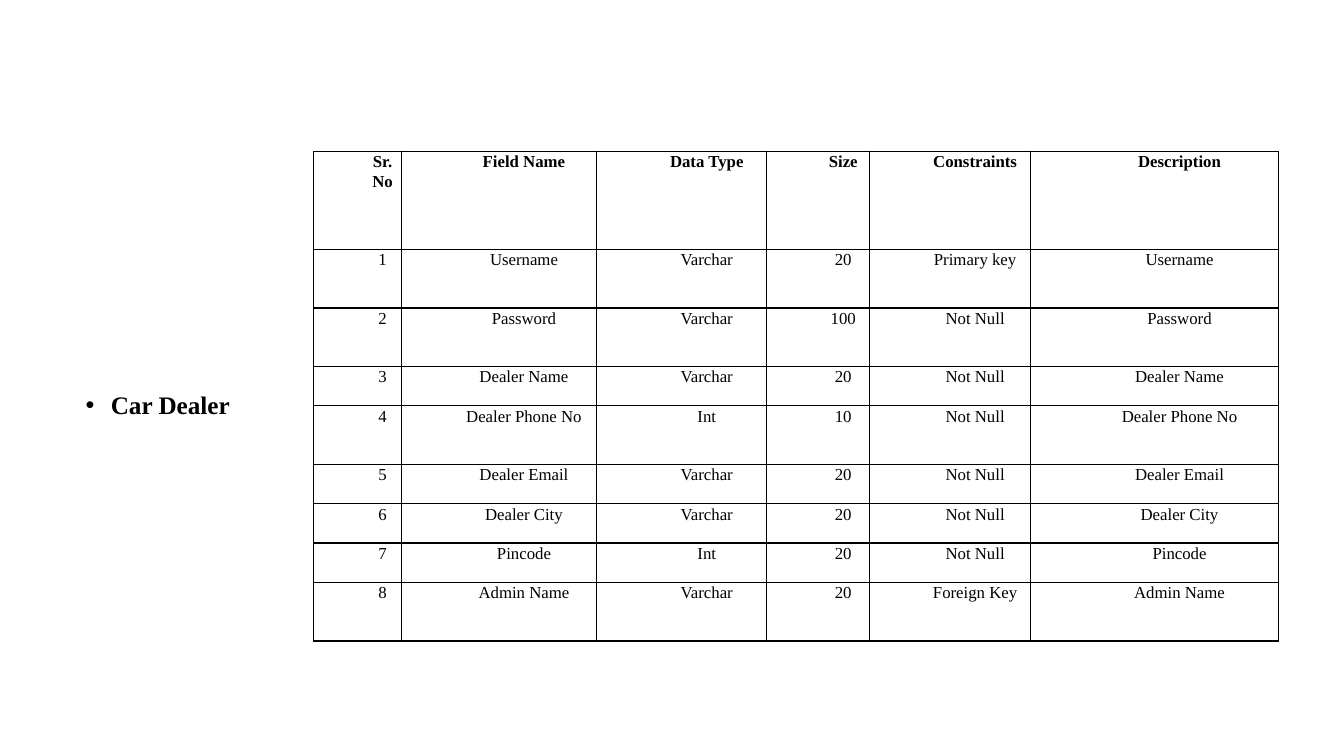
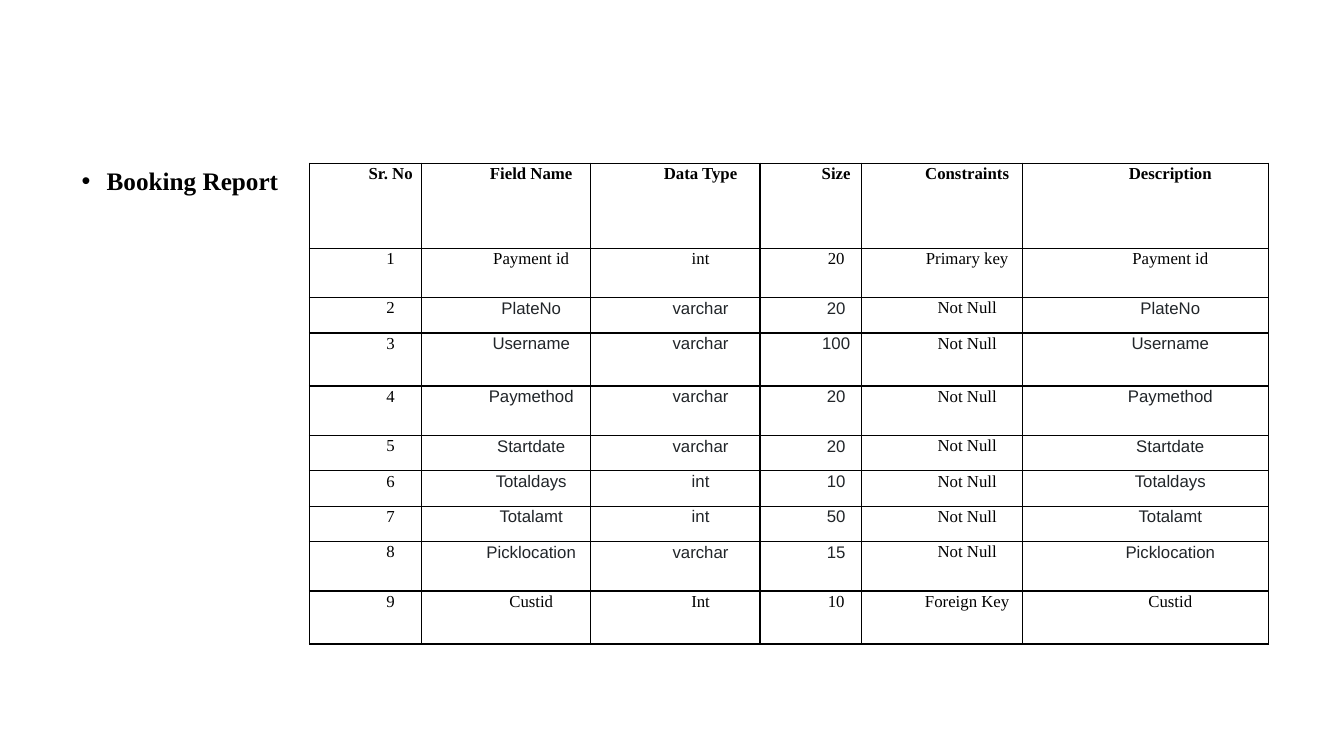
from dataclasses import dataclass

from lxml.etree import SubElement
from pptx import Presentation
from pptx.dml.color import RGBColor
from pptx.enum.text import PP_ALIGN
from pptx.oxml import parse_xml
from pptx.oxml.ns import nsdecls, qn
from pptx.slide import Slide
from pptx.table import _Cell
from pptx.text.text import _Paragraph
from pptx.util import Emu, Inches, Pt

# Shared format
SLIDE_WIDTH, SLIDE_HEIGHT = Inches(13.333), Inches(7.5)
BLACK, CHARCOAL = "000000", "212529"
SERIF, SANS = "Times New Roman", "Arial"
HEADING_FONT = {"name": SERIF, "size": Pt(18), "bold": True}
HEADER_FONT = {"name": SERIF, "size": Pt(12), "bold": True}
BODY_FONT = {**HEADER_FONT, "bold": False}
SANS_FONT = {**BODY_FONT, "name": SANS}
CELL_MARGINS = {
    "margin_left": Inches(0.07),
    "margin_right": Inches(0.07),
    "margin_top": 0,
    "margin_bottom": 0,
}
HEADING_HEIGHT = 5.5
HEADERS = ("Sr. No", "Field Name", "Data Type", "Size", "Constraints", "Description")
SERIF_COLUMNS = ("Sr. No", "Constraints")


@dataclass(frozen=True)
class Area:
    """Left, top, width and height in percent of the slide."""

    left: float
    top: float
    width: float
    height: float

    def lengths(self) -> tuple[Emu, Emu, Emu, Emu]:
        return (
            Emu(round(SLIDE_WIDTH * self.left / 100)),
            Emu(round(SLIDE_HEIGHT * self.top / 100)),
            Emu(round(SLIDE_WIDTH * self.width / 100)),
            Emu(round(SLIDE_HEIGHT * self.height / 100)),
        )


@dataclass(frozen=True)
class Field:
    name: str
    data_type: str
    size: str
    constraint: str = "Not Null"
    sans: bool = False


@dataclass(frozen=True)
class FieldTable:
    """Column and row shares divide the table's area."""

    heading: str
    heading_left: float
    heading_top: float
    area: Area
    column_shares: tuple[int, ...]
    row_shares: tuple[int, ...]
    fields: tuple[Field, ...]


FIELD_TABLES = (
    FieldTable(
        "Car Dealer", 5.63, 51.33,
        Area(23.33, 20, 71.79, 64.8),
        (87, 194, 169, 102, 160, 246),
        (5, 3, 3, 2, 3, 2, 2, 2, 3),
        (
            Field("Username", "Varchar", "20", "Primary key"),
            Field("Password", "Varchar", "100"),
            Field("Dealer Name", "Varchar", "20"),
            Field("Dealer Phone No", "Int", "10"),
            Field("Dealer Email", "Varchar", "20"),
            Field("Dealer City", "Varchar", "20"),
            Field("Pincode", "Int", "20"),
            Field("Admin Name", "Varchar", "20", "Foreign Key"),
        ),
    ),
    FieldTable(
        "Booking Report", 5.33, 21.6,
        Area(23.03, 21.6, 71.34, 63.6),
        (111, 168, 168, 101, 159, 244),
        (24, 14, 10, 15, 14, 10, 10, 10, 14, 15),
        (
            Field("Payment id", "int", "20", "Primary key"),
            Field("PlateNo", "varchar", "20", sans=True),
            Field("Username", "varchar", "100", sans=True),
            Field("Paymethod", "varchar", "20", sans=True),
            Field("Startdate", "varchar", "20", sans=True),
            Field("Totaldays", "int", "10", sans=True),
            Field("Totalamt", "int", "50", sans=True),
            Field("Picklocation", "varchar", "15", sans=True),
            Field("Custid", "Int", "10", "Foreign Key"),
        ),
    ),
)


def colour(hex_value: str) -> RGBColor:
    return RGBColor.from_string(hex_value)


def set_attributes(target: object, values: dict) -> None:
    for name, value in values.items():
        setattr(target, name, value)


def set_indent(paragraph: _Paragraph, margin: float, first_line: float) -> None:
    properties = paragraph._p.get_or_add_pPr()
    properties.set("marL", str(Inches(margin)))
    properties.set("indent", str(Inches(first_line)))


def add_text(paragraph: _Paragraph, text: str, font_values: dict, hex_value: str = BLACK) -> None:
    run = paragraph.add_run()
    run.text = text
    set_attributes(run.font, font_values)
    run.font.color.rgb = colour(hex_value)


def add_borders(cell: _Cell) -> None:
    properties = cell._tc.get_or_add_tcPr()
    for position, side in enumerate("LRTB"):
        border = parse_xml(
            f'<a:ln{side} {nsdecls("a")} w="{Pt(1)}"><a:solidFill>'
            f'<a:srgbClr val="{BLACK}"/></a:solidFill></a:ln{side}>'
        )
        properties.insert(position, border)


def add_heading(slide: Slide, field_table: FieldTable) -> None:
    left = field_table.heading_left
    area = Area(left, field_table.heading_top, field_table.area.left - left, HEADING_HEIGHT)
    text_frame = slide.shapes.add_textbox(*area.lengths()).text_frame
    text_frame.word_wrap = True
    paragraph = text_frame.paragraphs[0]
    set_indent(paragraph, 0.25, -0.25)
    properties = paragraph._p.get_or_add_pPr()
    SubElement(properties, qn("a:buFont")).set("typeface", SANS)
    SubElement(properties, qn("a:buChar")).set("char", "•")
    paragraph.line_spacing = 0.9
    add_text(paragraph, field_table.heading, HEADING_FONT)


def fill_cell(cell: _Cell, text: str, header: str, font_values: dict) -> None:
    set_attributes(cell, CELL_MARGINS)
    cell.fill.background()
    add_borders(cell)
    paragraph = cell.text_frame.paragraphs[0]
    set_indent(paragraph, 0.5, 0)
    set_attributes(paragraph, {"alignment": PP_ALIGN.CENTER, "line_spacing": 1.07})
    if header == HEADERS[-1]:
        paragraph.space_after = Pt(8)
    add_text(paragraph, text, font_values, CHARCOAL if font_values is SANS_FONT else BLACK)


def add_field_table(slide: Slide, field_table: FieldTable) -> None:
    lengths = field_table.area.lengths()
    row_count = len(field_table.fields) + 1
    table = slide.shapes.add_table(row_count, len(HEADERS), *lengths).table
    set_attributes(table, {"first_row": False, "horz_banding": False})

    # Grid
    for column, share in zip(table.columns, field_table.column_shares):
        column.width = Emu(round(lengths[2] * share / sum(field_table.column_shares)))
    for row, share in zip(table.rows, field_table.row_shares):
        row.height = Emu(round(lengths[3] * share / sum(field_table.row_shares)))

    # Header row
    for column_index, header in enumerate(HEADERS):
        fill_cell(table.cell(0, column_index), header, header, HEADER_FONT)

    # Field rows
    for number, field in enumerate(field_table.fields, start=1):
        values = (str(number), field.name, field.data_type, field.size, field.constraint, field.name)
        for column_index, (header, value) in enumerate(zip(HEADERS, values)):
            sans = field.sans and header not in SERIF_COLUMNS
            font_values = SANS_FONT if sans else BODY_FONT
            fill_cell(table.cell(number, column_index), value, header, font_values)


def main() -> None:
    presentation = Presentation()
    presentation.slide_width = SLIDE_WIDTH
    presentation.slide_height = SLIDE_HEIGHT
    blank_layout = presentation.slide_layouts[6]
    for field_table in FIELD_TABLES:
        slide = presentation.slides.add_slide(blank_layout)
        add_heading(slide, field_table)
        add_field_table(slide, field_table)
    presentation.save("out.pptx")


if __name__ == "__main__":
    main()
